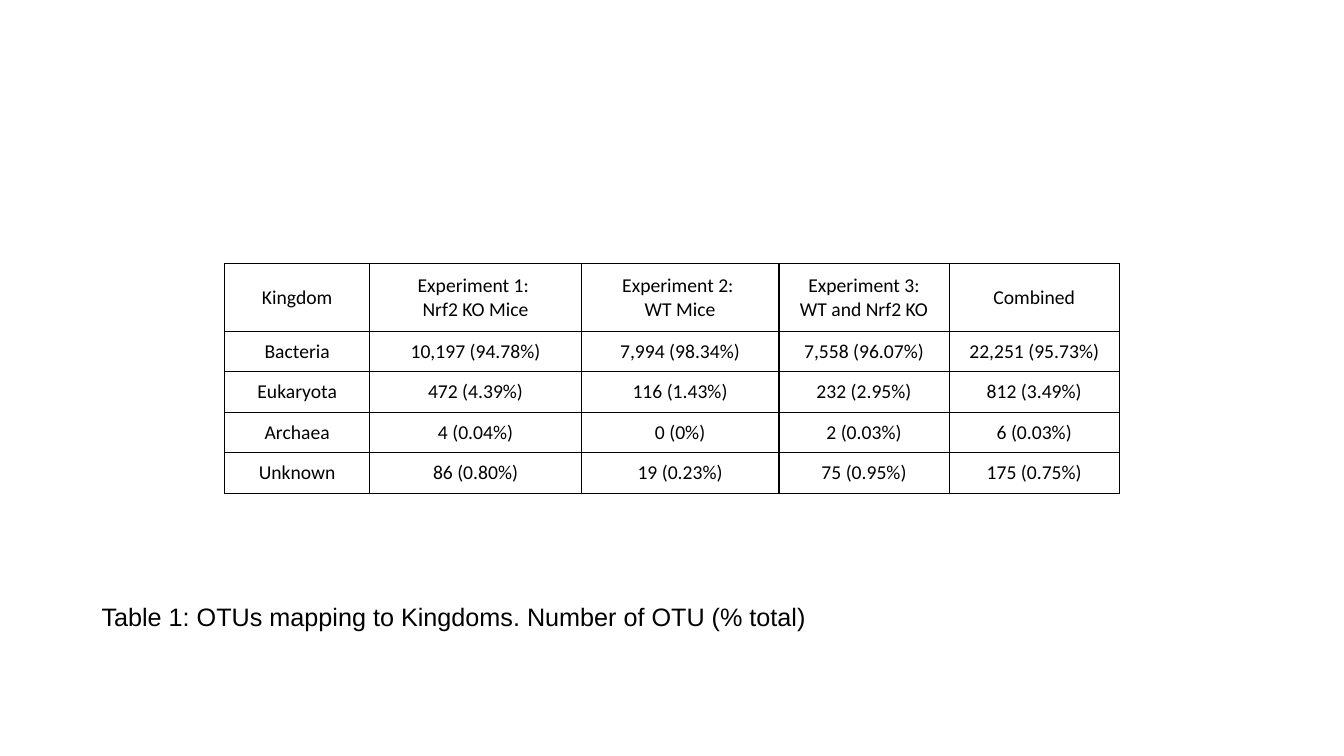
import lxml.etree
import pptx
import pptx.dml.color
import pptx.enum.text
import pptx.oxml.ns
import pptx.util
from pptx.util import Cm

BLACK = pptx.dml.color.RGBColor(0x00, 0x00, 0x00)
WHITE = pptx.dml.color.RGBColor(0xFF, 0xFF, 0xFF)

COLUMN_WIDTHS = [3.66, 5.33, 4.98, 4.29, 4.29]
HEADER_HEIGHT, BODY_HEIGHT = 1.71, 1.02
KINGDOM_ROWS = [
    ["Kingdom", "Experiment 1: \nNrf2 KO Mice", "Experiment 2: \nWT Mice",
     "Experiment 3:\nWT and Nrf2 KO", "Combined"],
    ["Bacteria", "10,197 (94.78%)", "7,994 (98.34%)", "7,558 (96.07%)", "22,251 (95.73%)"],
    ["Eukaryota", "472 (4.39%)", "116 (1.43%)", "232 (2.95%)", "812 (3.49%)"],
    ["Archaea", "4 (0.04%)", "0 (0%)", "2 (0.03%)", "6 (0.03%)"],
    ["Unknown", "86 (0.80%)", "19 (0.23%)", "75 (0.95%)", "175 (0.75%)"],
]

TABLE_FONT = {"name": "Calibri", "size": pptx.util.Pt(14), "bold": False}
CAPTION_FONT = {"name": "Arial", "size": pptx.util.Pt(18)}
CELL_ANCHOR = {"vertical_anchor": pptx.enum.text.MSO_ANCHOR.MIDDLE}
HEADER_CELL = CELL_ANCHOR | {"margin_left": Cm(0.48), "margin_right": Cm(0.48),
                             "margin_top": Cm(0.25), "margin_bottom": Cm(0.25)}
BODY_CELL = CELL_ANCHOR | {"margin_left": Cm(0.25), "margin_right": Cm(0.25),
                           "margin_top": Cm(0.2), "margin_bottom": Cm(0.2)}


def apply_format(target, values):
    for name, value in values.items():
        setattr(target, name, value)


def format_paragraph(paragraph, font_values, alignment):
    paragraph.alignment = alignment
    apply_format(paragraph.font, font_values)
    paragraph.font.color.rgb = BLACK


def add_cell_borders(cell):
    properties = cell._tc.get_or_add_tcPr()
    qualified = pptx.oxml.ns.qn
    for side in ("a:lnL", "a:lnR", "a:lnT", "a:lnB"):
        line = lxml.etree.SubElement(properties, qualified(side), w=str(pptx.util.Pt(1)))
        fill = lxml.etree.SubElement(line, qualified("a:solidFill"))
        lxml.etree.SubElement(fill, qualified("a:srgbClr"), val=str(BLACK))


def fill_cell(cell, text, cell_values):
    cell.text = text
    apply_format(cell, cell_values)
    add_cell_borders(cell)
    cell.fill.solid()
    cell.fill.fore_color.rgb = WHITE
    for paragraph in cell.text_frame.paragraphs:
        format_paragraph(paragraph, TABLE_FONT, pptx.enum.text.PP_ALIGN.CENTER)


def add_kingdom_table(slide, left, top):
    heights = [HEADER_HEIGHT] + [BODY_HEIGHT] * (len(KINGDOM_ROWS) - 1)
    table = slide.shapes.add_table(
        len(heights), len(COLUMN_WIDTHS), Cm(left), Cm(top),
        Cm(sum(COLUMN_WIDTHS)), Cm(sum(heights))).table
    apply_format(table, {"first_row": False, "horz_banding": False})
    for column, width in zip(table.columns, COLUMN_WIDTHS):
        column.width = Cm(width)
    for index, (row, height) in enumerate(zip(table.rows, heights)):
        row.height = Cm(height)
        cell_values = HEADER_CELL if index == 0 else BODY_CELL
        for cell, text in zip(row.cells, KINGDOM_ROWS[index]):
            fill_cell(cell, text, cell_values)


def add_caption(slide, text, left, top, width, height):
    text_frame = slide.shapes.add_textbox(Cm(left), Cm(top), Cm(width), Cm(height)).text_frame
    apply_format(text_frame, {"word_wrap": True,
                              "auto_size": pptx.enum.text.MSO_AUTO_SIZE.SHAPE_TO_FIT_TEXT})
    text_frame.text = text
    format_paragraph(text_frame.paragraphs[0], CAPTION_FONT, pptx.enum.text.PP_ALIGN.LEFT)


def main():
    presentation = pptx.Presentation()
    apply_format(presentation, {"slide_width": Cm(33.87), "slide_height": Cm(19.05)})
    blank_layout = presentation.slide_layouts[6]
    slide = presentation.slides.add_slide(blank_layout)

    # Counts per kingdom
    add_kingdom_table(slide, 5.66, 6.64)

    # Caption below the table
    add_caption(slide, "Table 1: OTUs mapping to Kingdoms. Number of OTU (% total)",
                2.31, 15.04, 23.93, 1.02)

    presentation.save("out.pptx")


if __name__ == "__main__":
    main()
